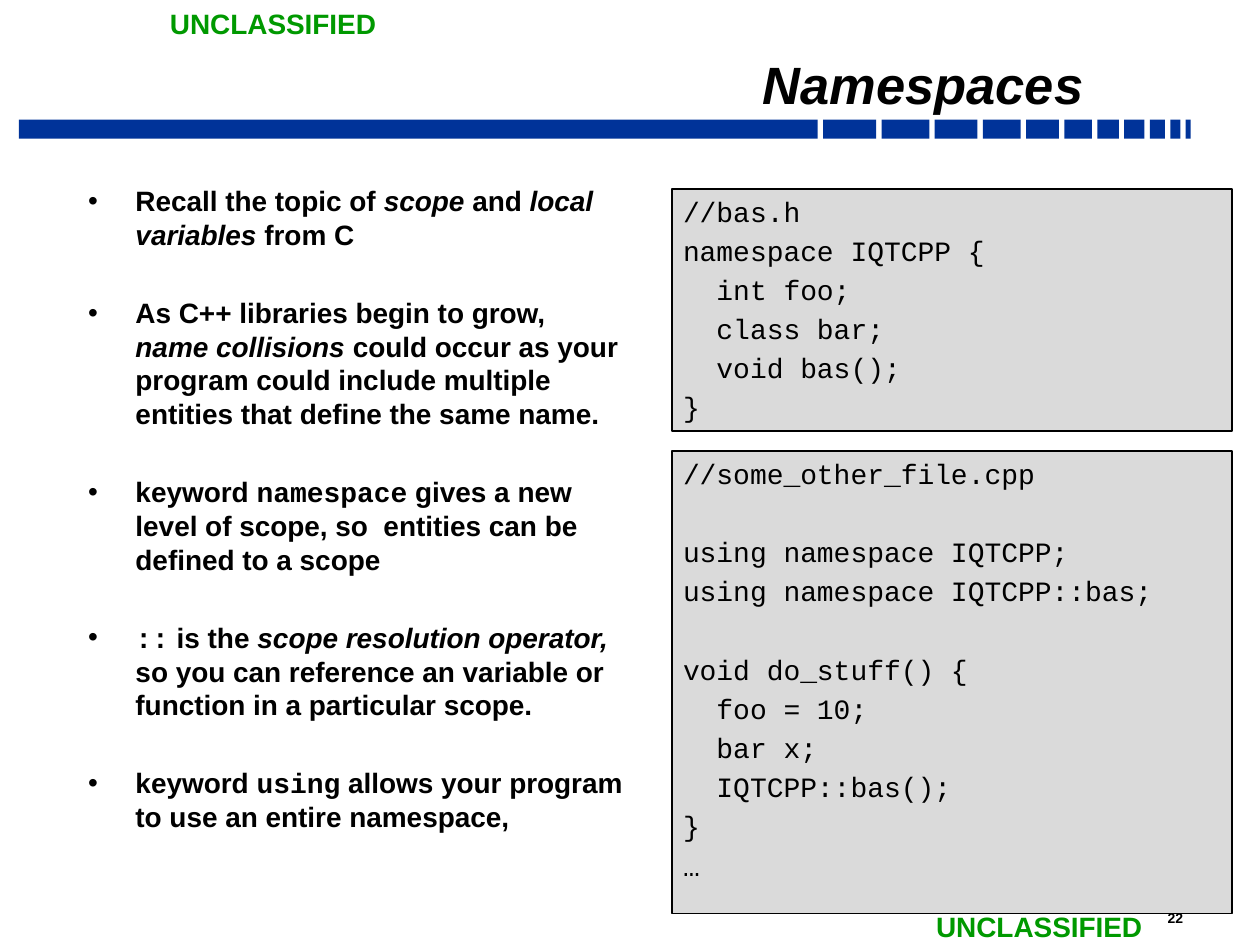
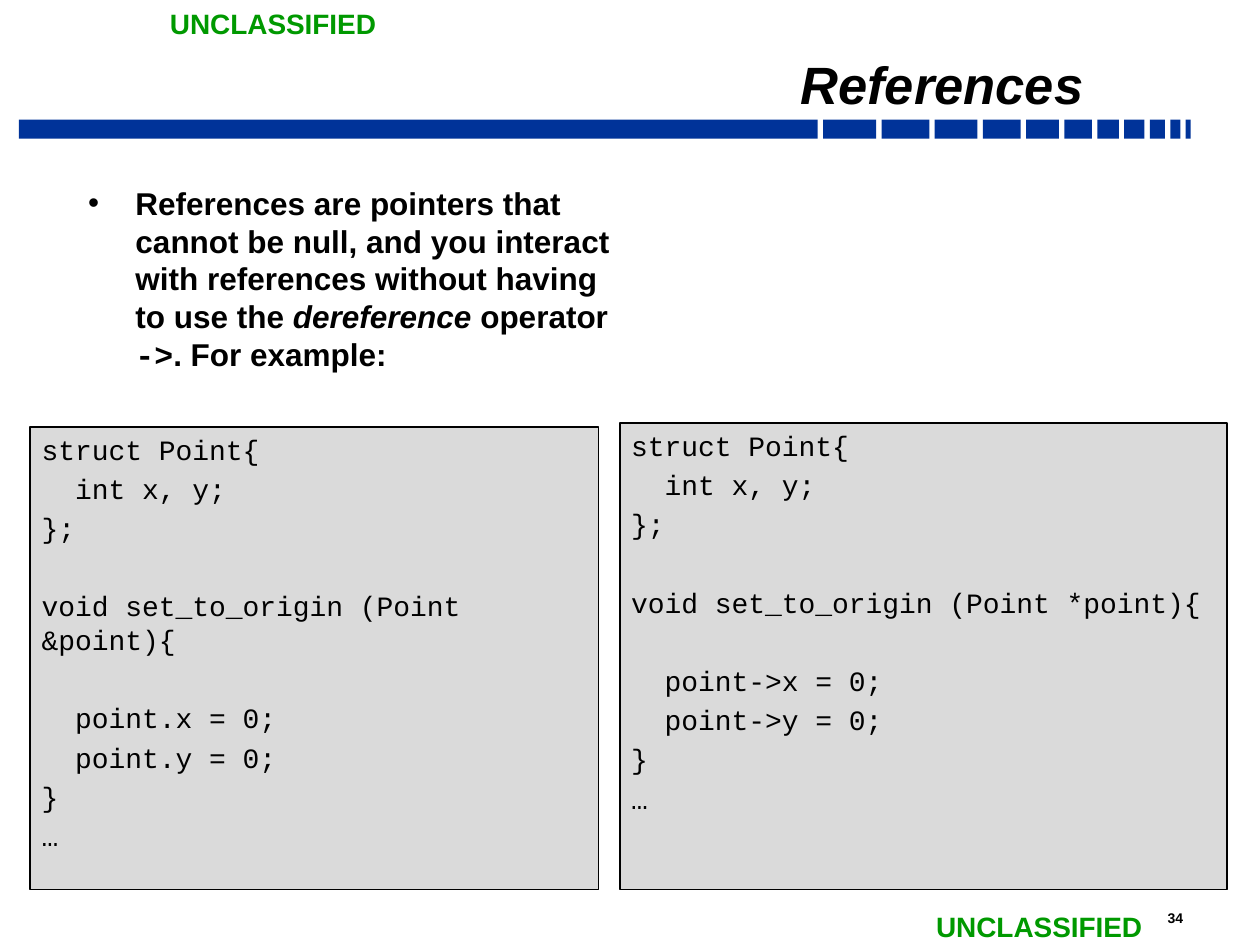
from dataclasses import dataclass

from lxml import etree
from pptx import Presentation
from pptx import util as u
from pptx.dml import color
from pptx.enum import shapes, text
from pptx.oxml import ns

HUES = {"ink": "000000", "bar": "003399", "mark": "009900", "code": "DADADA"}
SANS, MONO = "Arial", "Courier New"
BARS = (456.5, 30.25, 27.35, 24.5, 21.6, 18.7, 15.85, 12.25, 11.5, 8.65, 5.75, 2.9)
BAR_GAP = 3.08
LEAD = 3.2
BLANK = 25.6
INSET = (6.5, 2.9)


@dataclass(frozen=True)
class Area:
    left: float
    top: float
    width: float
    height: float

    def spots(self) -> tuple:
        return tuple(u.Pt(n) for n in (self.left, self.top, self.width, self.height))


@dataclass(frozen=True)
class Label:
    area: Area
    words: str
    size: float
    hue: str
    wrap: bool = False


@dataclass(frozen=True)
class Code:
    area: Area
    lines: str


@dataclass(frozen=True)
class Page:
    title: str
    number: str
    area: Area
    size: float
    points: tuple
    codes: tuple


MARKS = (
    Label(Area(90, 0, 134, 26.6), "UNCLASSIFIED", 16, "mark"),
    Label(Area(527.8, 516.2, 134, 26.6), "UNCLASSIFIED", 16, "mark"),
)
TITLE = Area(120.2, 25.2, 505.4, 42.5)

PAGES = (
    Page(
        "Namespaces", "22", Area(43.9, 102.2, 320.4, 419.8), 16,
        (
            (("Recall the topic of ", ""), ("scope ", "i"), ("and ", ""),
             ("local variables ", "i"), ("from C", "")),
            (("As C++ libraries begin to grow, ", ""), ("name collisions ", "i"),
             ("could occur as your program could include multiple entities "
              "that define the same name.", "")),
            (("keyword ", ""), ("namespace", "m"),
             (" gives a new level of scope, so  entities can be defined to a scope", "")),
            (("::", "m"), (" is the ", ""), ("scope resolution operator, ", "i"),
             ("so you can reference an variable or function in a particular scope.", "")),
            (("keyword ", ""), ("using", "m"),
             (" allows your program to use an entire namespace,", "")),
        ),
        (
            Code(Area(383.8, 108, 320.4, 138.2), """//bas.h
namespace IQTCPP {
  int foo;
  class bar;
  void bas();
}"""),
            Code(Area(383.8, 257.8, 320.4, 264.2), """//some_other_file.cpp

using namespace IQTCPP;
using namespace IQTCPP::bas;

void do_stuff() {
  foo = 10;
  bar x;
  IQTCPP::bas();
}
…"""),
        ),
    ),
    Page(
        "References", "34", Area(43.9, 102.2, 320.4, 372.2), 18,
        (
            (("References are pointers that cannot be null, and you interact with "
              "references without having to use the ", ""), ("dereference ", "i"),
             ("operator ", ""), ("->", "m"), (". For example:", "")),
        ),
        (
            Code(Area(354.2, 241.9, 347, 266.4), """struct Point{
  int x, y;
};

void set_to_origin (Point *point){

  point->x = 0;
  point->y = 0;
}
…"""),
            Code(Area(17.3, 244.1, 324.7, 264.2), """struct Point{
  int x, y;
};

void set_to_origin (Point &point){

  point.x = 0;
  point.y = 0;
}
…"""),
        ),
    ),
)


def tint(hue: str) -> color.RGBColor:
    return color.RGBColor.from_string(HUES[hue])


def style(run, size: float, hue: str = "ink", face: str = SANS,
          bold: bool = True, slant: bool = False) -> None:
    font = run.font
    font.size, font.name = u.Pt(size), face
    font.bold, font.italic = bold, slant
    font.color.rgb = tint(hue)


def inset(frame) -> None:
    frame.word_wrap = True
    frame.margin_left = frame.margin_right = u.Pt(INSET[0])
    frame.margin_top = frame.margin_bottom = u.Pt(INSET[1])


def next_para(frame, index: int):
    return frame.add_paragraph() if index else frame.paragraphs[0]


def add_rect(slide, area: Area, hue: str):
    rect = slide.shapes.add_shape(shapes.MSO_SHAPE.RECTANGLE, *area.spots())
    rect.shadow.inherit = False
    rect.fill.solid()
    rect.fill.fore_color.rgb = tint(hue)
    rect.line.fill.background()
    return rect


def add_bars(slide) -> None:
    left = 10.8
    for width in BARS:
        add_rect(slide, Area(left, 68.4, width, 10.8), "bar")
        left += width + BAR_GAP


def add_label(slide, label: Label) -> None:
    frame = slide.shapes.add_textbox(*label.area.spots()).text_frame
    frame.word_wrap = label.wrap
    frame.text = label.words
    style(frame.paragraphs[0].runs[0], label.size, label.hue)


def add_title(slide, words: str) -> None:
    title = slide.shapes.title
    title.left, title.top, title.width, title.height = TITLE.spots()
    frame = title.text_frame
    inset(frame)
    frame.vertical_anchor = text.MSO_ANCHOR.BOTTOM
    frame.text = words
    para = frame.paragraphs[0]
    para.alignment = text.PP_ALIGN.RIGHT
    para.line_spacing = 0.7
    style(para.runs[0], 30, slant=True)


def add_dot(para) -> None:
    props = para._p.get_or_add_pPr()
    props.set("marL", str(u.Pt(27)))
    props.set("indent", str(-u.Pt(27)))
    etree.SubElement(props, ns.qn("a:buFont")).set("typeface", SANS)
    etree.SubElement(props, ns.qn("a:buChar")).set("char", "•")


def add_points(slide, page: Page) -> None:
    frame = slide.shapes.add_textbox(*page.area.spots()).text_frame
    inset(frame)
    for index, parts in enumerate(page.points):
        para = next_para(frame, index)
        para.space_before = u.Pt(BLANK if index else LEAD)
        add_dot(para)
        for words, kind in parts:
            run = para.add_run()
            run.text = words
            style(run, page.size, face=MONO if kind == "m" else SANS, slant=kind == "i")


def add_code(slide, code: Code) -> None:
    rect = add_rect(slide, code.area, "code")
    rect.line.color.rgb = tint("ink")
    rect.line.width = u.Pt(1)
    frame = rect.text_frame
    inset(frame)
    frame.vertical_anchor = text.MSO_ANCHOR.TOP
    lines = code.lines.split("\n")
    for index, line in enumerate(lines):
        if not line:
            continue
        para = next_para(frame, index)
        para.text = line
        para.alignment = text.PP_ALIGN.LEFT
        para.space_before = u.Pt(BLANK if index and not lines[index - 1] else LEAD)
        style(para.runs[0], 16, face=MONO, bold=False)


def add_page(deck, page: Page) -> None:
    slide = deck.slides.add_slide(deck.slide_layouts[5])
    add_bars(slide)
    number = Label(Area(660.2, 516.2, 38.9, 16.6), page.number, 8, "ink", True)
    for label in (number, *MARKS):
        add_label(slide, label)
    add_title(slide, page.title)
    add_points(slide, page)
    for code in page.codes:
        add_code(slide, code)


def main() -> None:
    deck = Presentation()
    deck.slide_width, deck.slide_height = u.Pt(720), u.Pt(540)
    for page in PAGES:
        add_page(deck, page)
    deck.save("out.pptx")


if __name__ == "__main__":
    main()
